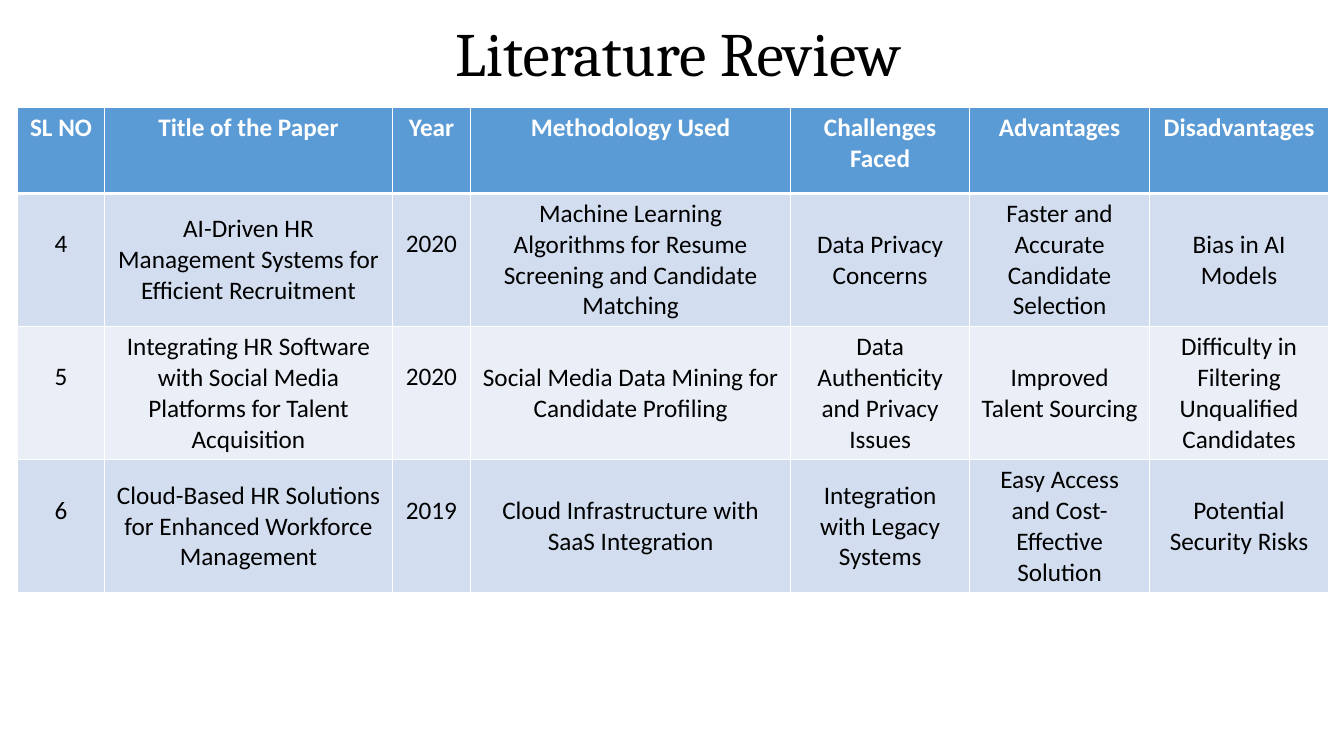
from lxml import etree
from pptx import Presentation, util as u
from pptx.dml.color import RGBColor
from pptx.enum import text
from pptx.oxml.ns import qn

TITLE = "Literature Review"
HEADERS = ["SL NO", "Title of the Paper", "Year", "Methodology Used",
           "Challenges Faced", "Advantages", "Disadvantages"]
PAPERS = [
    ["4", "AI-Driven HR Management Systems for Efficient Recruitment", "2020",
     "Machine Learning Algorithms for Resume Screening and Candidate Matching",
     "Data Privacy Concerns", "Faster and Accurate Candidate Selection",
     "Bias in AI Models"],
    ["5", "Integrating HR Software with Social Media Platforms for Talent Acquisition", "2020",
     "Social Media Data Mining for Candidate Profiling",
     "Data Authenticity and Privacy Issues", "Improved Talent Sourcing",
     "Difficulty in Filtering Unqualified Candidates"],
    ["6", "Cloud-Based HR Solutions for Enhanced Workforce Management", "2019",
     "Cloud Infrastructure with SaaS Integration",
     "Integration with Legacy Systems", "Easy Access and Cost-Effective Solution",
     "Potential Security Risks"],
]
COLUMN_WIDTHS = [0.87, 2.85, 0.78, 3.17, 1.78, 1.78, 1.78]
ROW_HEIGHTS = [0.85] + [1.25] * len(PAPERS)
TABLE_LEFT, TABLE_TOP = 0.17, 1.07
SHORT_COLUMNS = (HEADERS.index("SL NO"), HEADERS.index("Year"))
SHORT_TOP_MARGIN = 0.35
HEADER_FILL, BAND_FILLS = "5B9BD5", ("D2DEEF", "EAEFF7")
BLACK, WHITE = "000000", "FFFFFF"


def color(value):
    return RGBColor.from_string(value)


def format_text(paragraph, font_name, size, font_color, bold=False):
    paragraph.alignment = text.PP_ALIGN.CENTER
    for run in paragraph.runs:
        run.font.name = font_name
        run.font.size = u.Pt(size)
        run.font.bold = bold
        run.font.color.rgb = color(font_color)


def add_borders(cell, widths):
    properties = cell._tc.get_or_add_tcPr()
    for position, (side, width) in enumerate(widths.items()):
        line = etree.Element(qn(f"a:ln{side}"), w=str(u.Pt(width)))
        fill = etree.SubElement(line, qn("a:solidFill"))
        etree.SubElement(fill, qn("a:srgbClr"), val=WHITE)
        properties.insert(position, line)


def add_title(slide):
    title = slide.shapes.title
    title.left, title.top, title.width, title.height = map(
        u.Inches, (0.89, 0.3, 11.67, 0.53))
    frame = title.text_frame
    frame.text = TITLE
    frame.auto_size = text.MSO_AUTO_SIZE.NONE
    frame.vertical_anchor = text.MSO_ANCHOR.MIDDLE
    frame.paragraphs[0].line_spacing = 0.9
    format_text(frame.paragraphs[0], "Cambria", 44, BLACK)


def fill_cell(cell, content, row, column):
    is_header = row == 0
    is_short = column in SHORT_COLUMNS
    cell.text_frame.text = content
    format_text(cell.text_frame.paragraphs[0], "Calibri", 18,
                WHITE if is_header else BLACK, is_header)
    if is_header or is_short:
        cell.vertical_anchor = text.MSO_ANCHOR.TOP
    else:
        cell.vertical_anchor = text.MSO_ANCHOR.MIDDLE
    if is_short and not is_header:
        cell.margin_top = u.Inches(SHORT_TOP_MARGIN)
    cell.fill.solid()
    cell.fill.fore_color.rgb = color(
        HEADER_FILL if is_header else BAND_FILLS[(row - 1) % 2])
    add_borders(cell, {"L": 1, "R": 1, "T": 3 if row == 1 else 1,
                       "B": 3 if is_header else 1})


def add_review_table(slide):
    table = slide.shapes.add_table(
        len(ROW_HEIGHTS), len(COLUMN_WIDTHS),
        u.Inches(TABLE_LEFT), u.Inches(TABLE_TOP),
        u.Inches(sum(COLUMN_WIDTHS)), u.Inches(sum(ROW_HEIGHTS))).table
    for column, width in zip(table.columns, COLUMN_WIDTHS):
        column.width = u.Inches(width)
    for row, height in zip(table.rows, ROW_HEIGHTS):
        row.height = u.Inches(height)
    for row, entries in enumerate([HEADERS] + PAPERS):
        for column, content in enumerate(entries):
            fill_cell(table.cell(row, column), content, row, column)


def main():
    presentation = Presentation()
    presentation.slide_width = u.Inches(13.33)
    presentation.slide_height = u.Inches(7.5)
    slide = presentation.slides.add_slide(presentation.slide_layouts[5])
    add_title(slide)
    add_review_table(slide)
    presentation.save("out.pptx")


if __name__ == "__main__":
    main()
